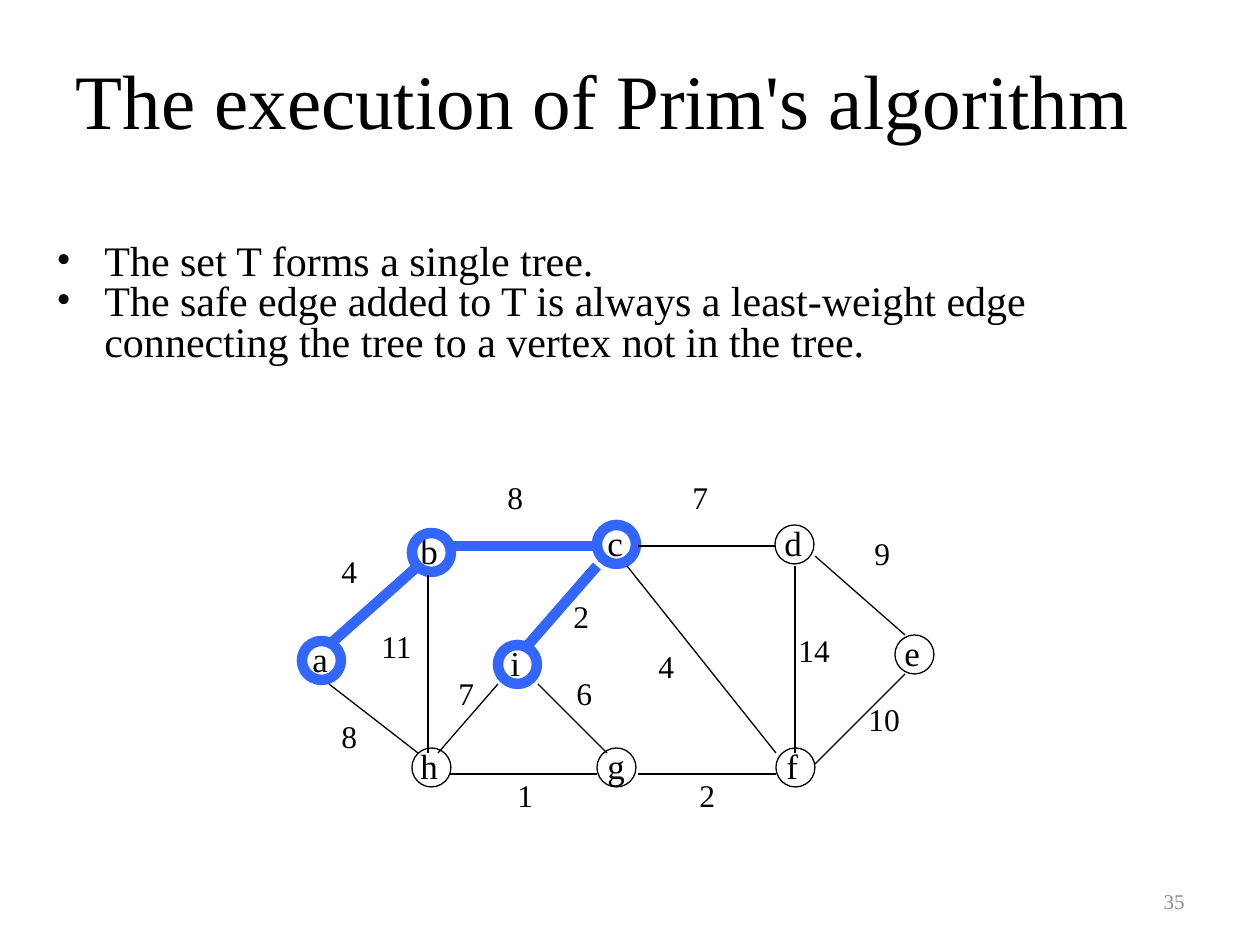
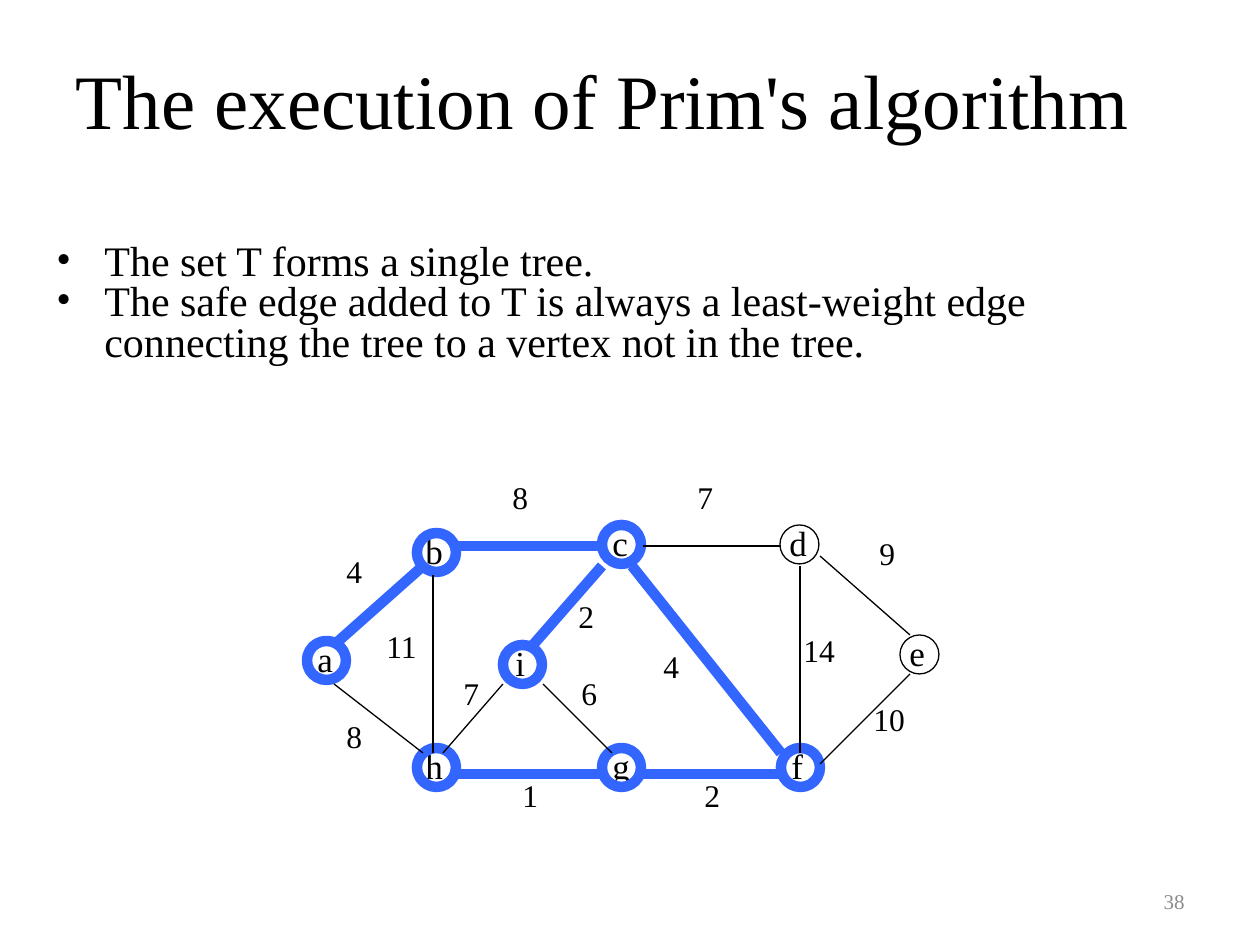
from lxml import etree
from pptx import Presentation
from pptx.dml.color import RGBColor
from pptx.enum.shapes import MSO_CONNECTOR as CONN, MSO_SHAPE as SHAPE
from pptx.enum.text import MSO_ANCHOR as ANCHOR, MSO_AUTO_SIZE as AUTO, PP_ALIGN as ALIGN
from pptx.oxml.ns import qn
from pptx.util import Pt

SCALE = 914400 / 126
FONT = "Times New Roman"
BLACK, GREY, TREE_BLUE = "000000", "8C8C8C", "3366FF"
DIAMETER = 39

TITLE = "The execution of Prim's algorithm"
BULLETS = [
    "The set T forms a single tree.",
    "The safe edge added to T is always a least-weight edge "
    "connecting the tree to a vertex not in the tree.",
]
VERTICES = {
    "a": (302, 641, 2), "b": (412, 533, 4), "h": (412, 748, 4),
    "c": (597, 525, 2), "d": (775, 525, 3), "e": (895, 635, 3),
    "f": (776, 748, 2), "g": (597, 748, 2), "i": (498, 645, 0),
}
EDGES = {
    "ab": ((329, 645, 418, 566), "4", (329, 546)),
    "ah": ((329, 684, 418, 753), "8", (329, 711)),
    "bh": ((428, 575, 428, 753), "11", (369, 621)),
    "bc": ((449, 546, 597, 546), "8", (495, 472)),
    "gh": ((449, 774, 597, 774), "1", (505, 770)),
    "fg": ((638, 774, 776, 774), "2", (687, 770)),
    "cf": ((627, 566, 776, 753), "4", (646, 641)),
    "cd": ((638, 546, 776, 546), "7", (680, 472)),
    "df": ((795, 566, 795, 753), "14", (786, 625)),
    "de": ((815, 556, 905, 635), "9", (862, 528)),
    "ef": ((815, 764, 905, 674), "10", (856, 694)),
    "gi": ((538, 684, 607, 753), "6", (564, 668)),
    "hi": ((438, 753, 498, 684), "7", (446, 668)),
    "ci": ((528, 645, 597, 566), "2", (561, 591)),
}
FIRST_TREE = ["ab", "bc", "ci"]
STEPS = [
    ("35", FIRST_TREE, 0),
    ("38", FIRST_TREE + ["cf", "fg", "gh"], 5),
]


def px(*lengths):
    """Turn pixel lengths into a list of EMU."""
    return [round(n * SCALE) for n in lengths]


def rgb(color):
    """Turn a hex string into a colour."""
    return RGBColor.from_string(color)


def add_run(p, text, size, color=BLACK):
    """Append a formatted run to a paragraph."""
    r = p.add_run()
    r.text = text
    r.font.name = FONT
    r.font.size = Pt(size)
    r.font.color.rgb = rgb(color)


def add_text(shapes, box, text, size, color=BLACK, align=ALIGN.LEFT, anchor=ANCHOR.TOP):
    """Add a one-line text box."""
    tf = shapes.add_textbox(*px(*box)).text_frame
    tf.word_wrap = True
    tf.vertical_anchor = anchor
    if align == ALIGN.LEFT:
        tf.margin_right = 0
    p = tf.paragraphs[0]
    p.alignment = align
    add_run(p, text, size, color)


def add_title(s):
    """Place and fill the title placeholder."""
    sp = s.shapes.title
    sp.left, sp.top, sp.width, sp.height = px(63, 38, 1134, 157)
    tf = sp.text_frame
    tf.auto_size = AUTO.NONE
    tf.vertical_anchor = ANCHOR.TOP
    tf.margin_top = px(15)[0]
    p = tf.paragraphs[0]
    p.alignment = ALIGN.LEFT
    add_run(p, TITLE, 44)


def add_bullets(s):
    """Add the bulleted statements about the tree."""
    tf = s.shapes.add_textbox(*px(-19, 238, 1232, 135)).text_frame
    tf.word_wrap = True
    for i, text in enumerate(BULLETS):
        p = tf.add_paragraph() if i else tf.paragraphs[0]
        p.line_spacing = 0.8
        pPr = p._p.get_or_add_pPr()
        margin, indent = px(111, -48)
        pPr.set("marL", str(margin))
        pPr.set("indent", str(indent))
        etree.SubElement(pPr, qn("a:buFont")).set("typeface", FONT)
        etree.SubElement(pPr, qn("a:buChar")).set("char", "•")
        add_run(p, text, 24)


def style_line(line, in_tree):
    """Make a line thick and blue in the tree, thin and black outside."""
    line.color.rgb = rgb(TREE_BLUE if in_tree else BLACK)
    line.width = Pt(6 if in_tree else 0.75)


def add_vertex(shapes, name, in_tree):
    """Add a vertex letter and its ring."""
    x, y, label_shift = VERTICES[name]
    add_text(shapes, (x - label_shift, y - 10, 42, 54), name, 20)
    sp = shapes.add_shape(SHAPE.OVAL, *px(x, y, DIAMETER, DIAMETER))
    sp.shadow.inherit = False
    sp.fill.background()
    style_line(sp.line, in_tree)


def add_edge(shapes, ends, in_tree):
    """Add a straight edge between two points."""
    sp = shapes.add_connector(CONN.STRAIGHT, *px(*ends))
    style_line(sp.line, in_tree)
    etree.SubElement(sp._element.spPr, qn("a:effectLst"))


def add_graph(s, tree, shift):
    """Add the weighted graph with the tree edges highlighted."""
    group = s.shapes.add_group_shape()
    reached = set("".join(tree))
    for name in VERTICES:
        add_vertex(group.shapes, name, name in reached)
    for name, (ends, _, _) in EDGES.items():
        add_edge(group.shapes, ends, name in tree)
    for _, weight, (x, y) in EDGES.values():
        add_text(group.shapes, (x, y, 27 + 20 * len(weight), 63), weight, 18)
    group.left += px(shift)[0]


def main():
    """Build one slide for each step of the algorithm."""
    prs = Presentation()
    prs.slide_width, prs.slide_height = px(1260, 945)
    for number, tree, shift in STEPS:
        s = prs.slides.add_slide(prs.slide_layouts[5])
        add_text(s.shapes, (903, 876, 294, 50), number, 12, GREY, ALIGN.RIGHT, ANCHOR.MIDDLE)
        add_title(s)
        add_bullets(s)
        add_graph(s, tree, shift)
    prs.save("out.pptx")


if __name__ == "__main__":
    main()
